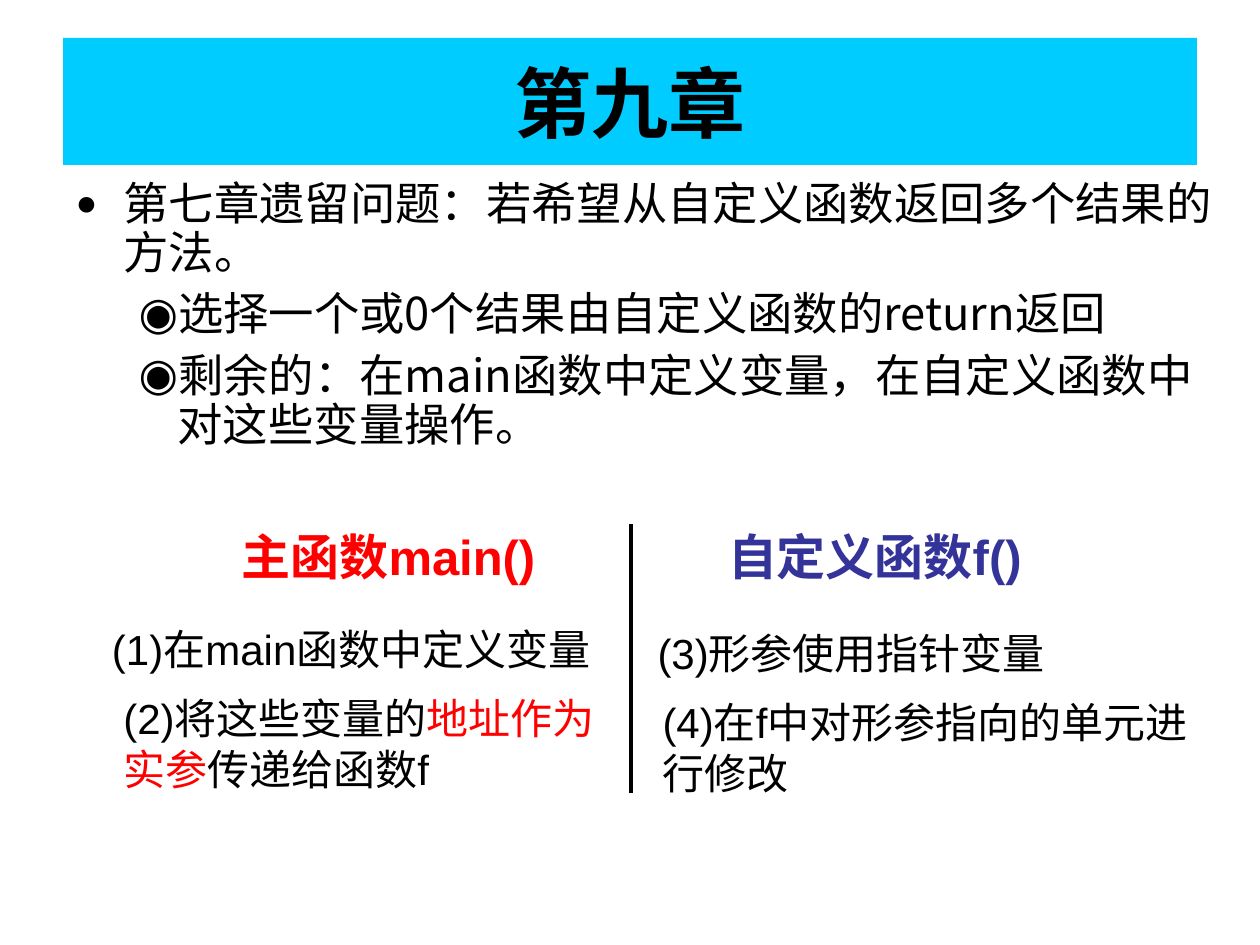
from dataclasses import dataclass

from lxml import etree
from pptx import Presentation
from pptx.dml.color import RGBColor
from pptx.enum import shapes, text
from pptx.oxml import ns
from pptx.util import Inches, Pt


@dataclass(frozen=True)
class Theme:
    black: str = "000000"
    red: str = "FF0000"
    indigo: str = "333399"
    banner: str = "00CCFF"
    latin: str = "Arial"
    chinese: str = "Noto Sans CJK SC"
    title_size: float = 44
    body_size: float = 25.9
    heading_size: float = 28
    step_size: float = 24


@dataclass(frozen=True)
class Span:
    content: str
    color: str


@dataclass(frozen=True)
class Label:
    box: tuple[float, float, float, float]
    spans: tuple[Span, ...]
    size: float
    bold: bool = False
    wrap: bool = False
    insets: tuple[float, float, float, float] = (0.1, 0.05, 0.1, 0.05)


@dataclass(frozen=True)
class Level:
    margin: float
    hanging: float
    bullet: str
    bullet_percent: int


@dataclass(frozen=True)
class Point:
    content: str
    level: int


THEME = Theme()
TITLE = "第九章"
LEVELS = (Level(0.38, 0.38, "●", 80), Level(0.81, 0.31, "◉", 100))
POINTS = (
    Point("第七章遗留问题：若希望从自定义函数返回多个结果的方法。", 0),
    Point("选择一个或0个结果由自定义函数的return返回", 1),
    Point("剩余的：在main函数中定义变量，在自定义函数中对这些变量操作。", 1),
)
LABELS = (
    Label((1.82, 4.13, 2.62, 0.57), (Span("主函数main()", THEME.red),),
          THEME.heading_size, bold=True),
    Label((5.68, 4.13, 2.62, 0.57), (Span("自定义函数f()", THEME.indigo),),
          THEME.heading_size, bold=True),
    Label((0.79, 4.9, 4.29, 0.5),
          (Span("(1)在main函数中定义变量", THEME.black),), THEME.step_size),
    Label((0.98, 5.45, 3.94, 0.85),
          (Span("(2)将这些变量的", THEME.black),
           Span("地址作为实参", THEME.red),
           Span("传递给函数f", THEME.black)),
          THEME.step_size, wrap=True, insets=(0, 0.05, 0, 0)),
    Label((5.12, 4.93, 3.41, 0.5),
          (Span("(3)形参使用指针变量", THEME.black),), THEME.step_size),
    Label((5.16, 5.48, 4.65, 0.9),
          (Span("(4)在f中对形参指向的单元进行修改", THEME.black),),
          THEME.step_size, wrap=True),
)


def place(shape, box: tuple[float, float, float, float]) -> None:
    shape.left, shape.top, shape.width, shape.height = map(Inches, box)


def style_run(run, size: float, color: str, latin: str = THEME.latin,
              bold: bool = False) -> None:
    run.font.size = Pt(size)
    run.font.bold = bold
    run.font.name = latin
    run.font.color.rgb = RGBColor.from_string(color)
    east_asian = etree.Element(ns.qn("a:ea"), typeface=THEME.chinese)
    run.font._element.find(ns.qn("a:latin")).addnext(east_asian)


def set_bullet(paragraph, level: Level) -> None:
    properties = paragraph._p.get_or_add_pPr()
    properties.set("marL", str(Inches(level.margin)))
    properties.set("indent", str(-Inches(level.hanging)))
    color = etree.SubElement(properties, ns.qn("a:buClr"))
    etree.SubElement(color, ns.qn("a:srgbClr"), val=THEME.black)
    etree.SubElement(properties, ns.qn("a:buSzPct"),
                     val=str(level.bullet_percent * 1000))
    etree.SubElement(properties, ns.qn("a:buFont"), typeface=THEME.latin)
    etree.SubElement(properties, ns.qn("a:buChar"), char=level.bullet)


def draw_title(shape) -> None:
    place(shape, (0.5, 0.3, 9, 1.01))
    shape.fill.solid()
    shape.fill.fore_color.rgb = RGBColor.from_string(THEME.banner)
    frame = shape.text_frame
    frame.text = TITLE
    frame.auto_size = text.MSO_AUTO_SIZE.NONE
    frame.vertical_anchor = text.MSO_ANCHOR.MIDDLE
    paragraph = frame.paragraphs[0]
    paragraph.alignment = text.PP_ALIGN.CENTER
    style_run(paragraph.runs[0], THEME.title_size, THEME.black, bold=True)


def draw_points(shape, points: tuple[Point, ...]) -> None:
    place(shape, (0.5, 1.39, 9.23, 2.68))
    frame = shape.text_frame
    frame.text = "\n".join(point.content for point in points)
    frame.auto_size = text.MSO_AUTO_SIZE.NONE
    for index, (paragraph, point) in enumerate(zip(frame.paragraphs, points)):
        paragraph.level = point.level
        set_bullet(paragraph, LEVELS[point.level])
        paragraph.line_spacing = 0.9
        paragraph.space_before = Pt(7 if index else 0)
        style_run(paragraph.runs[0], THEME.body_size, THEME.black, THEME.chinese)


def draw_label(slide, label: Label) -> None:
    shape = slide.shapes.add_textbox(*map(Inches, label.box))
    frame = shape.text_frame
    frame.word_wrap = label.wrap
    frame.auto_size = text.MSO_AUTO_SIZE.SHAPE_TO_FIT_TEXT
    (frame.margin_left, frame.margin_top,
     frame.margin_right, frame.margin_bottom) = map(Inches, label.insets)
    paragraph = frame.paragraphs[0]
    for span in label.spans:
        run = paragraph.add_run()
        run.text = span.content
        style_run(run, label.size, span.color, bold=label.bold)


def draw_divider(slide) -> None:
    divider = slide.shapes.add_connector(
        shapes.MSO_CONNECTOR.STRAIGHT,
        Inches(5.01), Inches(4.16), Inches(5.01), Inches(6.29))
    divider.line.color.rgb = RGBColor.from_string(THEME.black)
    divider.line.width = Pt(2.25)
    etree.SubElement(divider._element.spPr, ns.qn("a:effectLst"))


def main() -> None:
    presentation = Presentation()
    presentation.slide_width = Inches(10)
    presentation.slide_height = Inches(7.5)
    slide = presentation.slides.add_slide(presentation.slide_layouts[1])
    draw_title(slide.shapes.title)
    draw_points(slide.placeholders[1], POINTS)
    draw_divider(slide)
    for label in LABELS:
        draw_label(slide, label)
    presentation.save("out.pptx")


if __name__ == "__main__":
    main()
